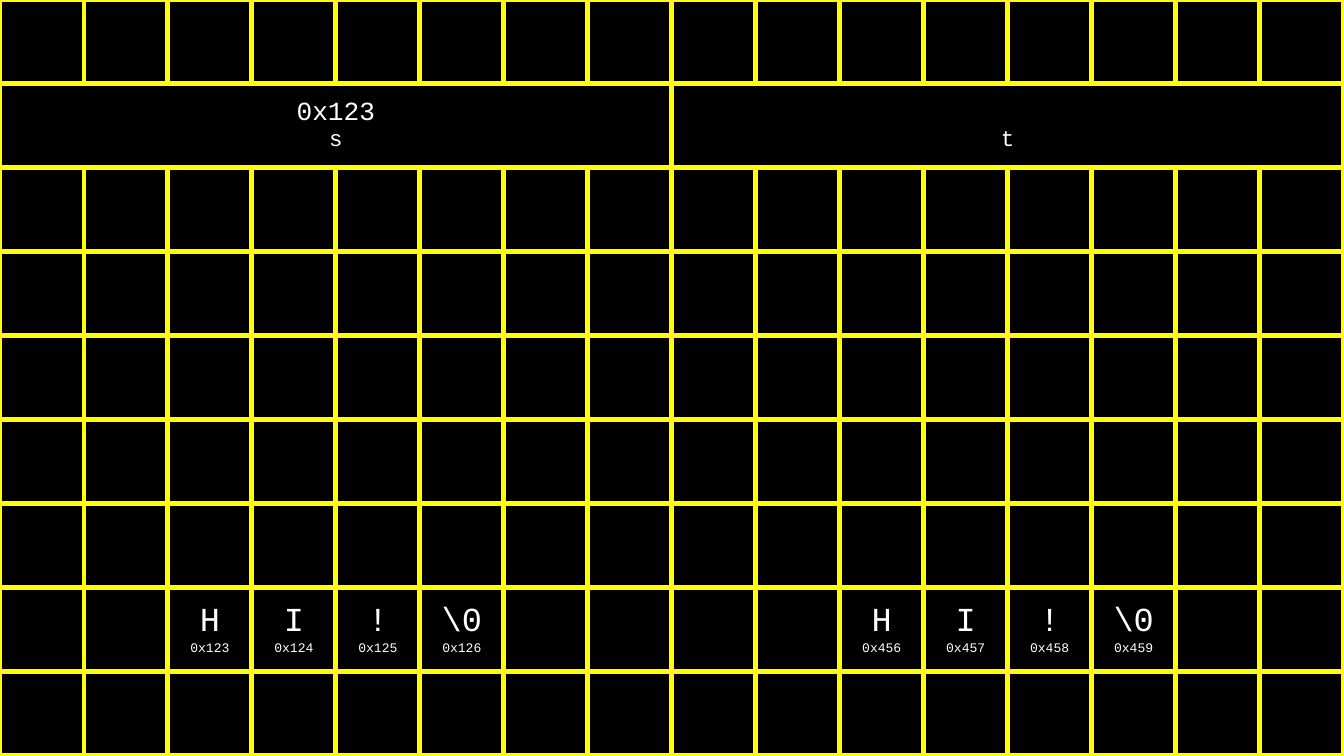
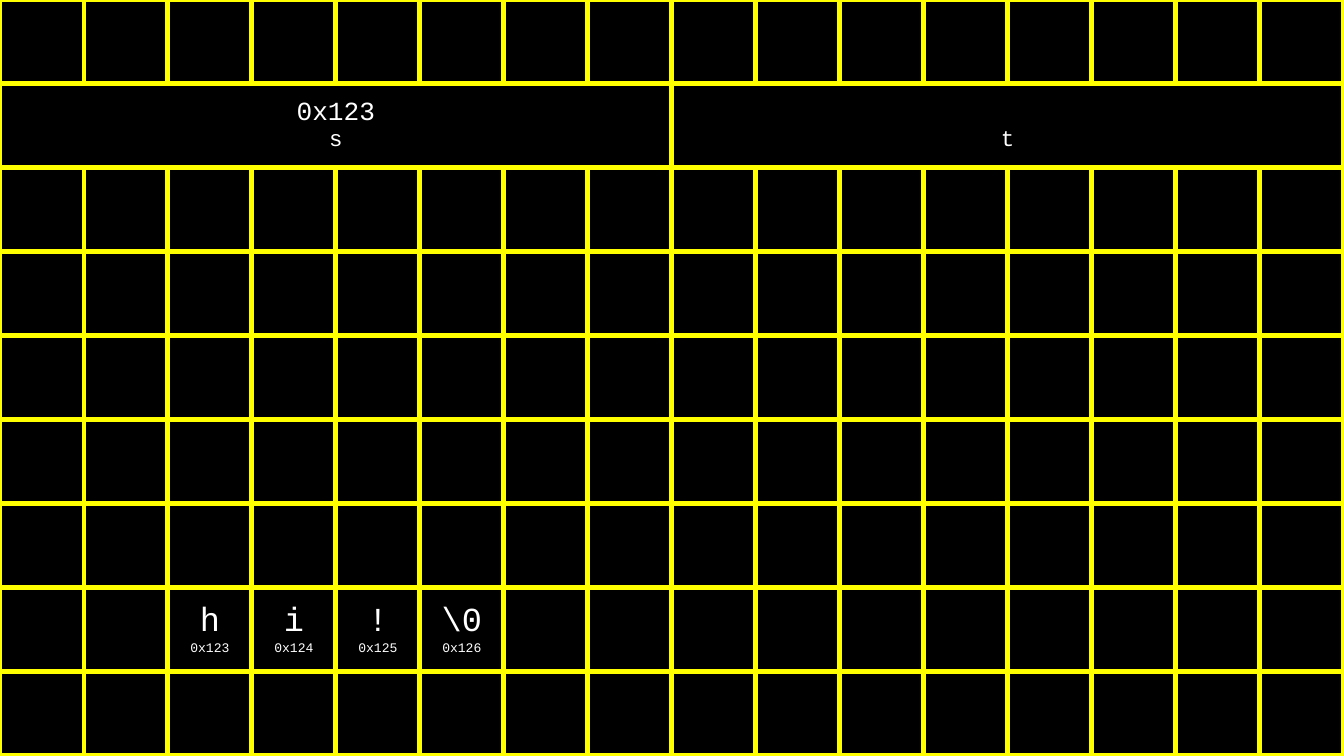
from pptx import Presentation
from pptx.dml.color import RGBColor as RGB
from pptx.enum.text import MSO_ANCHOR as ANCHOR, PP_ALIGN as ALIGN
from pptx.oxml import parse_xml
from pptx.oxml.ns import nsdecls
from pptx.util import Inches, Pt

BLACK = RGB(0x00, 0x00, 0x00)
WHITE = RGB(0xFF, 0xFF, 0xFF)
YELLOW = RGB(0xFF, 0xFF, 0x00)
FONT = "Courier New"
COLS, ROWS, CELL = 16, 12, 84
POINTER_ROW, STRING_ROW, POINTER_SPAN = 1, 7, 8
VALUE_LINE = 30


def px(n):
    return Inches(n / 134.4)


class MemorySlide:
    def __init__(self, prs):
        self.s = prs.slides.add_slide(prs.slide_layouts[6])
        fill = self.s.background.fill
        fill.solid()
        fill.fore_color.rgb = BLACK

    def grid(self):
        frame = self.s.shapes.add_table(
            ROWS, COLS, 0, 0, px(COLS * CELL), px(ROWS * CELL))
        self.table = frame.table
        self.table.first_row = False
        self.table.horz_banding = False
        for column in self.table.columns:
            column.width = px(CELL)
        for row in self.table.rows:
            row.height = px(CELL)
        for cell in self.table.iter_cells():
            self.border(cell)
            cell.fill.background()
            cell.margin_left = cell.margin_right = Inches(0.1)
            cell.margin_top = cell.margin_bottom = Inches(0.1)
            cell.vertical_anchor = ANCHOR.MIDDLE

    def border(self, cell):
        tcPr = cell._tc.get_or_add_tcPr()
        for side in "LRTB":
            tcPr.append(parse_xml(
                f'<a:ln{side} {nsdecls("a")} w="{Pt(3)}"><a:solidFill>'
                f'<a:srgbClr val="{YELLOW}"/></a:solidFill></a:ln{side}>'))

    def label(self, cell, *lines):
        tf = cell.text_frame
        tf.text = "\n".join(text for text, size in lines)
        for p, (text, size) in zip(tf.paragraphs, lines):
            p.alignment = ALIGN.CENTER
            for r in p.runs:
                r.font.name = FONT
                r.font.size = Pt(size)
                r.font.color.rgb = WHITE

    def pointer(self, col, name, value=None):
        cell = self.table.cell(POINTER_ROW, col)
        cell.merge(self.table.cell(POINTER_ROW, col + POINTER_SPAN - 1))
        if value is None:
            cell.margin_top = Inches(0.1) + px(VALUE_LINE)
            self.label(cell, (name, 12))
        else:
            self.label(cell, (f"{value:#x}", 14), (name, 12))

    def string(self, col, chars, address):
        for i, char in enumerate((*chars, "\\0")):
            cell = self.table.cell(STRING_ROW, col + i)
            self.label(cell, (char, 18), (f"{address + i:#x}", 7))


def main():
    prs = Presentation()
    prs.slide_width = px(COLS * CELL)
    prs.slide_height = px(9 * CELL)
    slides = (
        [(2, "HI!", 0x123), (10, "HI!", 0x456)],
        [(2, "hi!", 0x123)],
    )
    for strings in slides:
        memory = MemorySlide(prs)
        memory.grid()
        memory.pointer(0, "s", 0x123)
        memory.pointer(POINTER_SPAN, "t")
        for col, chars, address in strings:
            memory.string(col, chars, address)
    prs.save("out.pptx")


if __name__ == "__main__":
    main()
